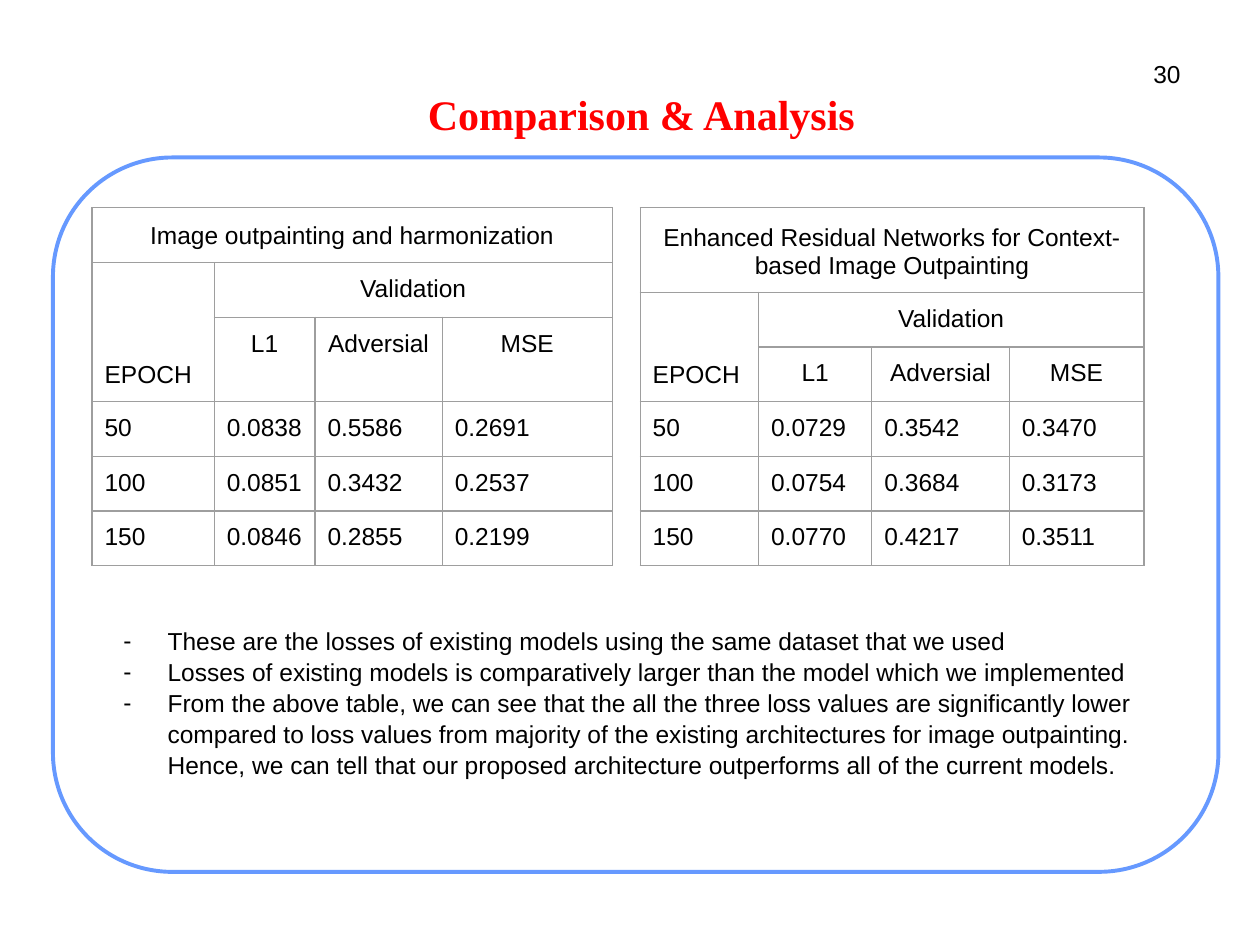
from lxml.etree import SubElement
from pptx import Presentation
from pptx.dml.color import RGBColor
from pptx.enum.shapes import MSO_SHAPE as Preset
from pptx.enum.text import MSO_ANCHOR as Anchor, MSO_AUTO_SIZE as AutoSize, PP_ALIGN as Align
from pptx.oxml.ns import qn
from pptx.util import Inches, Pt

COLORS = {"white": "FFFFFF", "black": "000000", "title": "FF0000",
          "frame": "6699FF", "grid": "9E9E9E"}

TITLE = "Comparison & Analysis"
PAGE = "30"
METRICS = ["L1", "Adversial", "MSE"]
MODELS = [
    {
        "name": "Image outpainting and harmonization",
        "left": 0.73,
        "columns": [0.97, 0.8, 1.01, 1.35],
        "rows": [0.43, 0.43, 0.67, 0.43, 0.43, 0.43],
        "losses": [["50", "0.0838", "0.5586", "0.2691"],
                   ["100", "0.0851", "0.3432", "0.2537"],
                   ["150", "0.0846", "0.2855", "0.2199"]],
    },
    {
        "name": "Enhanced Residual Networks for Context-based Image Outpainting",
        "left": 5.08,
        "columns": [0.94, 0.9, 1.09, 1.07],
        "rows": [0.67, 0.43, 0.43, 0.43, 0.43, 0.43],
        "losses": [["50", "0.0729", "0.3542", "0.3470"],
                   ["100", "0.0754", "0.3684", "0.3173"],
                   ["150", "0.0770", "0.4217", "0.3511"]],
    },
]
FINDINGS = [
    "These are the losses of existing models using the same dataset that we used",
    "Losses of existing models is comparatively larger than the model which we implemented",
    "From the above table, we can see that the all the three loss values are significantly "
    "lower compared to loss values from majority of the existing architectures for image "
    "outpainting. Hence, we can tell that our proposed architecture outperforms all of the "
    "current models.",
]


def rgb(name):
    return RGBColor.from_string(COLORS[name])


def write(holder, lines, size=14, font="Arial", color="black", bold=False,
          align=Align.LEFT, anchor=Anchor.TOP, inset=0.1, spacing=1.0):
    """Fill a shape or a table cell with one paragraph per line."""
    holder.margin_left = holder.margin_right = Inches(inset)
    holder.margin_top = holder.margin_bottom = Inches(inset)
    holder.vertical_anchor = anchor
    frame = getattr(holder, "text_frame", holder)
    frame.word_wrap = True
    frame.text = "\n".join(lines)
    for paragraph in frame.paragraphs:
        paragraph.alignment = align
        paragraph.line_spacing = spacing
        paragraph.space_before = paragraph.space_after = Pt(0)
        letters = paragraph.runs[0].font
        letters.size, letters.name, letters.bold = Pt(size), font, bold
        letters.color.rgb = rgb(color)


def place(shape, left, top, width, height):
    shape.left, shape.top = Inches(left), Inches(top)
    shape.width, shape.height = Inches(width), Inches(height)


def add_dash(paragraph):
    props = paragraph._p.get_or_add_pPr()
    props.set("marL", str(Inches(0.5)))
    props.set("indent", str(Inches(-0.35)))
    tint = SubElement(props, qn("a:buClr"))
    SubElement(tint, qn("a:srgbClr"), val=COLORS["black"])
    SubElement(props, qn("a:buChar"), char="-")


def outline(cell):
    props = cell._tc.get_or_add_tcPr()
    for index, side in enumerate(("lnL", "lnR", "lnT", "lnB")):
        edge = props.makeelement(qn(f"a:{side}"), {"w": str(Pt(0.75))})
        paint = SubElement(edge, qn("a:solidFill"))
        SubElement(paint, qn("a:srgbClr"), val=COLORS["grid"])
        props.insert(index, edge)


def add_losses(slide, model):
    columns, rows = model["columns"], model["rows"]
    table = slide.shapes.add_table(
        len(rows), len(columns), Inches(model["left"]), Inches(1.65),
        Inches(sum(columns)), Inches(sum(rows))).table
    table.first_row = table.horz_banding = False
    for column, width in zip(table.columns, columns):
        column.width = Inches(width)
    for row, height in zip(table.rows, rows):
        row.height = Inches(height)

    # Merged headings: model name, epoch, validation
    table.cell(0, 0).merge(table.cell(0, 3))
    table.cell(1, 0).merge(table.cell(2, 0))
    table.cell(1, 1).merge(table.cell(1, 3))
    grid = [[model["name"], "", "", ""], ["EPOCH", "Validation", "", ""],
            ["", *METRICS], *model["losses"]]
    for r, values in enumerate(grid):
        for c, value in enumerate(values):
            cell = table.cell(r, c)
            cell.fill.background()
            outline(cell)
            if value:
                epoch = value == "EPOCH"
                write(cell, [value],
                      align=Align.CENTER if r < 3 and not epoch else Align.LEFT,
                      anchor=Anchor.BOTTOM if r == 0 or epoch else Anchor.TOP)


def main():
    deck = Presentation()
    deck.slide_width, deck.slide_height = Inches(10), Inches(7.5)
    slide = deck.slides.add_slide(deck.slide_layouts[1])
    title, findings = slide.placeholders

    # Rounded frame behind everything
    frame = slide.shapes.add_shape(Preset.ROUNDED_RECTANGLE, Inches(0.42), Inches(1.25),
                                   Inches(9.25), Inches(5.67))
    frame.adjustments[0] = 0.167
    frame.shadow.inherit = False
    frame.fill.solid()
    frame.fill.fore_color.rgb = rgb("white")
    frame.line.color.rgb = rgb("frame")
    frame.line.width = Pt(2.25)
    frame.element.getparent().insert(2, frame.element)

    # Title and page number
    place(title, 1.09, 0.06, 8, 1.69)
    write(title.text_frame, [TITLE], size=24, font="Times New Roman", color="title",
          bold=True, align=Align.CENTER, anchor=Anchor.MIDDLE, inset=0.05)
    page = slide.shapes.add_textbox(Inches(9.09), Inches(0.42), Inches(0.33), Inches(0.34))
    write(page.text_frame, [PAGE], align=Align.RIGHT, inset=0.05)

    # Loss tables
    for model in MODELS:
        add_losses(slide, model)

    # Findings
    place(findings, 0.73, 4.86, 8.71, 1.62)
    findings.text_frame.auto_size = AutoSize.NONE
    write(findings.text_frame, FINDINGS, spacing=1.05)
    for paragraph in findings.text_frame.paragraphs:
        add_dash(paragraph)

    deck.save("out.pptx")


if __name__ == "__main__":
    main()
